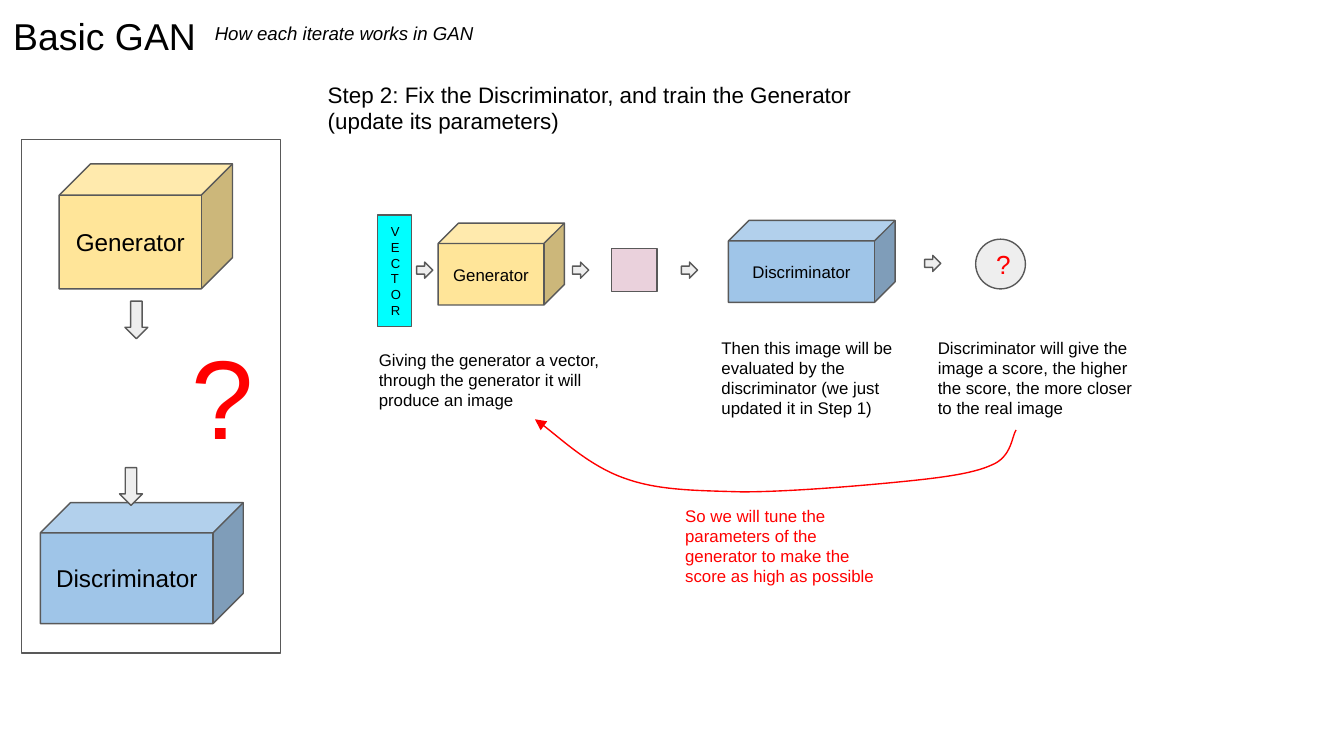
from pptx import Presentation
from pptx.dml.color import RGBColor
from pptx.enum.shapes import MSO_SHAPE
from pptx.enum.text import MSO_ANCHOR, MSO_AUTO_SIZE, PP_ALIGN
from pptx.oxml.ns import qn
from pptx.util import Pt
from lxml.etree import SubElement

PX = 9144  # 100 px to the inch

BLACK = RGBColor(0x00, 0x00, 0x00)
RED = RGBColor(0xFF, 0x00, 0x00)
OUTLINE = RGBColor(0x59, 0x59, 0x59)
YELLOW = RGBColor(0xFF, 0xE5, 0x99)
BLUE = RGBColor(0x9F, 0xC5, 0xE8)
GREY = RGBColor(0xEE, 0xEE, 0xEE)
CYAN = RGBColor(0x00, 0xFF, 0xFF)
PINK = RGBColor(0xEA, 0xD1, 0xDC)

# Widescreen slide, 16 to 9
presentation = Presentation()
presentation.slide_width = 1000 * PX
presentation.slide_height = 1000 * PX * 9 // 16
slide = presentation.slides.add_slide(presentation.slide_layouts[6])


def write_text(shape, text, size, color=BLACK, align=PP_ALIGN.LEFT, italic=None):
    frame = shape.text_frame
    frame.word_wrap = True
    for side in ("left", "top", "right", "bottom"):
        setattr(frame, f"margin_{side}", 10 * PX)
    frame.text = text
    font_format = {"name": "Arial", "size": Pt(size), "italic": italic}
    for paragraph in frame.paragraphs:
        paragraph.alignment = align
        for run in paragraph.runs:
            for attribute, value in font_format.items():
                setattr(run.font, attribute, value)
            run.font.color.rgb = color


def add_box(kind, left, top, width, height, fill=None):
    shape = slide.shapes.add_shape(kind, left * PX, top * PX, width * PX, height * PX)
    shape.shadow.inherit = False
    if fill is None:
        shape.fill.background()
    else:
        shape.fill.solid()
        shape.fill.fore_color.rgb = fill
    shape.line.color.rgb = OUTLINE
    shape.line.width = Pt(0.75)
    shape.text_frame.vertical_anchor = MSO_ANCHOR.MIDDLE
    return shape


# Panel with the two networks
add_box(MSO_SHAPE.RECTANGLE, 16, 104, 193, 382)

# Network cubes, large in the panel and small in the pipeline
for name, left, top, width, height, size, fill in (
    ("Generator", 44, 122, 129, 93, 13, YELLOW),
    ("Discriminator", 30, 374, 151, 90, 13, BLUE),
    ("Generator", 326, 166, 94, 61, 9, YELLOW),
    ("Discriminator", 542, 164, 124, 61, 9, BLUE),
):
    cube = add_box(MSO_SHAPE.CUBE, left, top, width, height, fill)
    write_text(cube, name, size, align=PP_ALIGN.CENTER)

# Block arrows
for left, top in ((93, 224), (89, 348)):
    add_box(MSO_SHAPE.DOWN_ARROW, left, top, 17, 28, GREY)
for left, top in ((310, 195), (426, 195), (507, 195), (688, 190)):
    add_box(MSO_SHAPE.RIGHT_ARROW, left, top, 12, 12, GREY)

# Input vector, generated image and score
vector = add_box(MSO_SHAPE.FLOWCHART_PROCESS, 281, 160, 25, 83, CYAN)
write_text(vector, "VE\nC\nT\nO\nR", 7)
add_box(MSO_SHAPE.RECTANGLE, 455, 185, 34, 32, PINK)
score = add_box(MSO_SHAPE.OVAL, 726, 178, 37, 37, GREY)
write_text(score, "?", 14, RED)

# Headings and explanations
for text, left, top, width, height, size, color, italic in (
    ("Basic GAN", 0, 0, 186, 54, 20, BLACK, None),
    ("How each iterate works in GAN", 150, 8, 260, 37, 10, BLACK, True),
    ("Step 2: Fix the Discriminator, and train the Generator (update its parameters)",
     234, 50, 432, 61, 12, BLACK, None),
    ("?", 133, 234, 82, 121, 60, RED, None),
    ("Giving the generator a vector, through the generator it will produce an image",
     272, 250, 201, 66, 9, BLACK, None),
    ("Then this image will be evaluated by the discriminator (we just updated it in Step 1)",
     527, 241, 173, 81, 9, BLACK, None),
    ("Discriminator will give the image a score, the higher the score, "
     "the more closer to the real image",
     688, 241, 173, 81, 9, BLACK, None),
    ("So we will tune the parameters of the generator to make the score as high as possible",
     500, 366, 173, 81, 9, RED, None),
):
    text_box = slide.shapes.add_textbox(left * PX, top * PX, width * PX, height * PX)
    write_text(text_box, text, size, color, italic=italic)
    text_box.text_frame.auto_size = MSO_AUTO_SIZE.SHAPE_TO_FIT_TEXT

# Feedback curve: three points for each Bezier segment
curve_points = (
    (753, 324), (753, 340), (738, 346),
    (723, 353), (696, 356), (665, 359),
    (634, 362), (585, 366), (552, 366),
    (518, 365), (490, 365), (465, 356),
    (439, 347), (409, 319), (398, 312),
)
builder = slide.shapes.build_freeform(756, 320, scale=PX)
builder.add_line_segments(curve_points, close=False)
curve = builder.convert_to_shape()
curve.shadow.inherit = False
curve.fill.background()
curve.line.color.rgb = RED
curve.line.width = Pt(0.75)

# Turn each three straight segments into one cubic segment
outline = next(curve.element.iter(qn("a:path")))
segments = outline.findall(qn("a:lnTo"))
for start in range(0, len(segments), 3):
    cubic = SubElement(outline, qn("a:cubicBezTo"))
    for segment in segments[start:start + 3]:
        cubic.append(segment[0])
        outline.remove(segment)
curve_line = next(curve.element.iter(qn("a:ln")))
SubElement(curve_line, qn("a:tailEnd"), type="triangle")

presentation.save("out.pptx")
